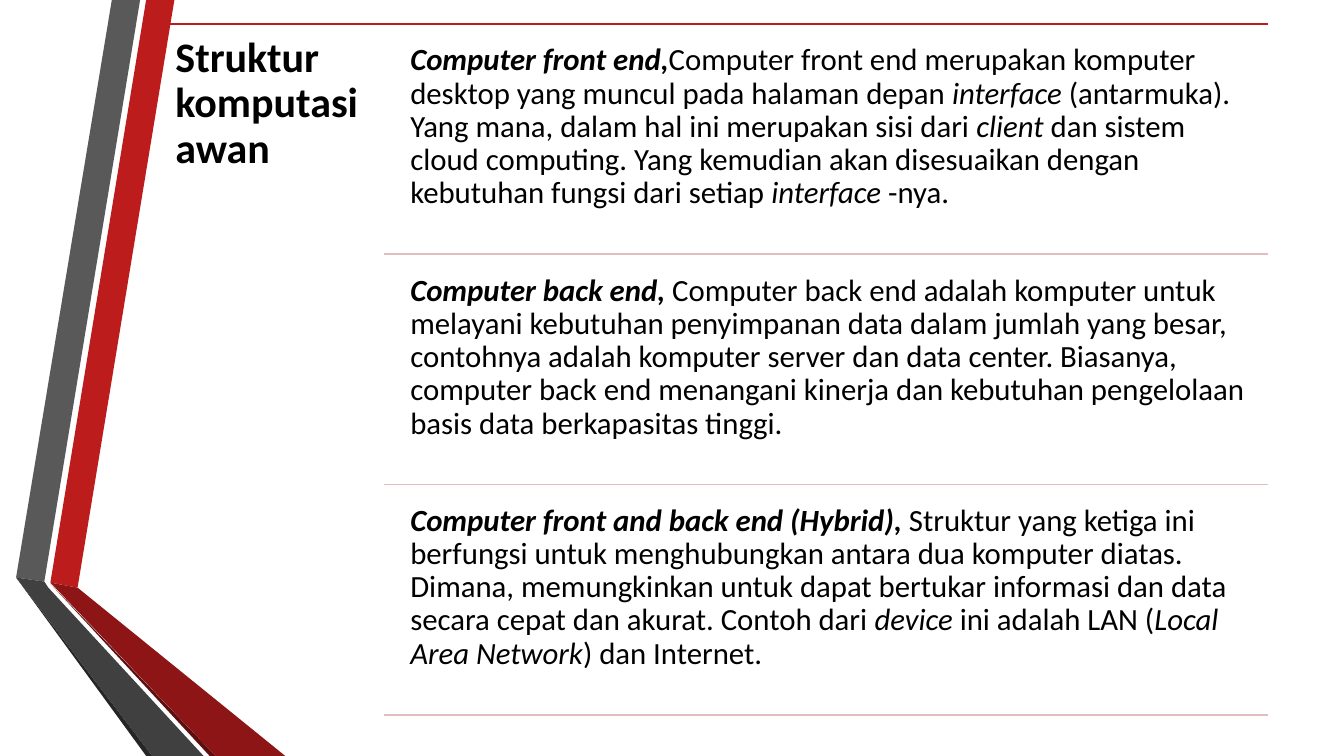
import dataclasses

import lxml.etree
import pptx
import pptx.dml.color
import pptx.enum.shapes
import pptx.enum.text
import pptx.oxml.ns
import pptx.util


@dataclasses.dataclass(frozen=True)
class Theme:
    font: str = "Calibri"
    title_size: int = 30
    body_size: int = 22
    rule_width: float = 1.25
    line_spacing: float = 0.9
    text: str = "000000"
    red: str = "BC1C1C"
    red_dark: str = "8D1515"
    red_shade: str = "5E0E0E"
    grey: str = "595959"
    grey_dark: str = "404040"
    grey_shade: str = "262626"
    row_rule: str = "E1BDBD"


THEME = Theme()
WIDTH, HEIGHT = 13.33, 7.5

# Grid: a title column and a text column, with three equal rows
TITLE_LEFT, RULE_LEFT, TEXT_LEFT, RIGHT = 1.62, 3.81, 3.98, 12.58
TOP, BOTTOM = 0.24, 7.09
ROW_HEIGHT = (BOTTOM - TOP) / 3
ROW_GAP = 0.11

RIBBONS = [
    (THEME.red, [(0.5, 5.78), (0.77, 5.83), (1.73, 0), (1.45, 0)]),
    (THEME.grey, [(1.39, 0), (1.11, 0), (0.16, 5.73), (0.44, 5.77)]),
    (THEME.grey_shade, [(0.16, 5.73), (1.45, HEIGHT), (1.51, HEIGHT)]),
    (THEME.red_shade, [(0.5, 5.79), (2.08, HEIGHT), (2.14, HEIGHT)]),
    (THEME.red_dark, [(0.5, 5.78), (2.14, HEIGHT), (2.83, HEIGHT), (0.77, 5.83)]),
    (THEME.grey_dark, [(2.02, HEIGHT), (0.48, 5.83), (0.44, 5.77),
                       (0.16, 5.73), (1.51, HEIGHT)]),
]

TITLE = "Struktur komputasi awan"
# Each section is a lead and a body; asterisks enclose italic words
SECTIONS = [
    ("Computer front end,",
     "Computer front end merupakan komputer desktop yang muncul pada halaman "
     "depan *interface* (antarmuka). Yang mana, dalam hal ini merupakan sisi "
     "dari *client* dan sistem cloud computing. Yang kemudian akan disesuaikan "
     "dengan kebutuhan fungsi dari setiap *interface* -nya."),
    ("Computer back end, ",
     "Computer back end adalah komputer untuk melayani kebutuhan penyimpanan "
     "data dalam jumlah yang besar, contohnya adalah komputer server dan data "
     "center. Biasanya, computer back end menangani kinerja dan kebutuhan "
     "pengelolaan basis data berkapasitas tinggi."),
    ("Computer front and back end (Hybrid), ",
     "Struktur yang ketiga ini berfungsi untuk menghubungkan antara dua "
     "komputer diatas. Dimana, memungkinkan untuk dapat bertukar informasi dan "
     "data secara cepat dan akurat. Contoh dari *device* ini adalah LAN "
     "(*Local Area Network*) dan Internet."),
]


def color(value):
    return pptx.dml.color.RGBColor.from_string(value)


def inches(*lengths):
    return [pptx.util.Inches(length) for length in lengths]


def add_ribbon(slide, fill, points):
    start, *others = [inches(*point) for point in points]
    builder = slide.shapes.build_freeform(*start)
    builder.add_line_segments(others, close=True)
    shape = builder.convert_to_shape()
    shape.shadow.inherit = False
    shape.fill.solid()
    shape.fill.fore_color.rgb = color(fill)
    shape.line.fill.background()


def add_rule(slide, left, top, line_color):
    """Draw a horizontal line from left to the right edge of the grid."""
    connector = slide.shapes.add_connector(
        pptx.enum.shapes.MSO_CONNECTOR.STRAIGHT, *inches(left, top, RIGHT, top))
    connector.line.color.rgb = color(line_color)
    connector.line.width = pptx.util.Pt(THEME.rule_width)
    properties = connector._element.spPr
    lxml.etree.SubElement(properties, pptx.oxml.ns.qn("a:effectLst"))


def format_text(shape, size, inset):
    """Set up the frame and return its first paragraph."""
    frame = shape.text_frame
    frame.word_wrap = True
    frame.auto_size = pptx.enum.text.MSO_AUTO_SIZE.NONE
    frame.vertical_anchor = pptx.enum.text.MSO_ANCHOR.TOP
    frame.margin_left = frame.margin_right = pptx.util.Inches(inset)
    frame.margin_top = frame.margin_bottom = pptx.util.Inches(inset)
    paragraph = frame.paragraphs[0]
    paragraph.alignment = pptx.enum.text.PP_ALIGN.LEFT
    paragraph.line_spacing = THEME.line_spacing
    paragraph.font.name = THEME.font
    paragraph.font.size = pptx.util.Pt(size)
    paragraph.font.color.rgb = color(THEME.text)
    return paragraph


def set_title(slide):
    title = slide.shapes.title
    title.left, title.top, title.width, title.height = inches(
        TITLE_LEFT, TOP, RULE_LEFT - TITLE_LEFT, BOTTOM - TOP)
    title.text_frame.text = TITLE
    paragraph = format_text(title, THEME.title_size, 0.12)
    paragraph.font.bold = True


def add_section(slide, row, lead, body):
    row_top = TOP + row * ROW_HEIGHT
    box = slide.shapes.add_textbox(*inches(
        TEXT_LEFT, row_top + ROW_GAP, RIGHT - TEXT_LEFT, ROW_HEIGHT - ROW_GAP))
    paragraph = format_text(box, THEME.body_size, 0.09)
    lead_run = paragraph.add_run()
    lead_run.text = lead
    lead_run.font.bold = lead_run.font.italic = True
    for index, text in enumerate(body.split("*")):
        run = paragraph.add_run()
        run.text = text
        run.font.italic = index % 2 == 1
    add_rule(slide, RULE_LEFT, row_top + ROW_HEIGHT, THEME.row_rule)


def main():
    presentation = pptx.Presentation()
    presentation.slide_width, presentation.slide_height = inches(WIDTH, HEIGHT)
    title_only = presentation.slide_layouts.get_by_name("Title Only")
    slide = presentation.slides.add_slide(title_only)
    for fill, points in RIBBONS:
        add_ribbon(slide, fill, points)
    add_rule(slide, TITLE_LEFT, TOP, THEME.red)
    set_title(slide)
    for row, (lead, body) in enumerate(SECTIONS):
        add_section(slide, row, lead, body)
    presentation.save("out.pptx")


if __name__ == "__main__":
    main()
